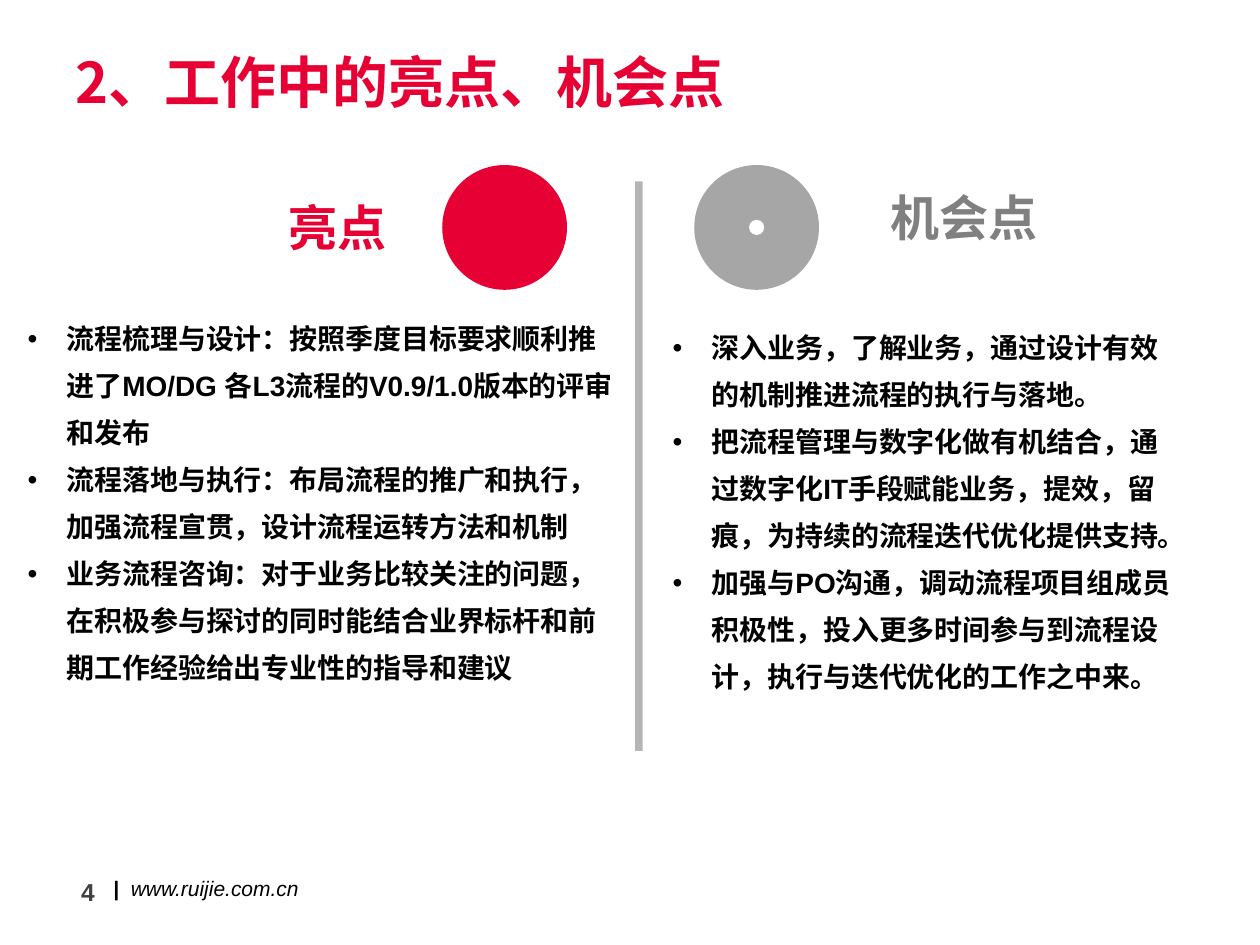
from dataclasses import dataclass
from math import cos, radians, sin

from lxml import etree
from pptx import Presentation
from pptx.dml.color import RGBColor
from pptx.enum.shapes import MSO_SHAPE
from pptx.enum.text import MSO_ANCHOR, MSO_AUTO_SIZE, PP_ALIGN
from pptx.oxml.ns import qn
from pptx.util import Inches, Pt

OVAL, RECTANGLE = MSO_SHAPE.OVAL, MSO_SHAPE.RECTANGLE
MIDDLE, TOP = MSO_ANCHOR.MIDDLE, MSO_ANCHOR.TOP
LEFT, RIGHT = PP_ALIGN.LEFT, PP_ALIGN.RIGHT
FIT_SHAPE, NO_FIT = MSO_AUTO_SIZE.SHAPE_TO_FIT_TEXT, MSO_AUTO_SIZE.NONE

Box = tuple[float, float, float, float]
Point = tuple[float, float]


@dataclass(frozen=True)
class Theme:
    red: str = "E60033"
    badge_grey: str = "A6A6A6"
    heading_grey: str = "808080"
    divider_grey: str = "B5B5B5"
    number_grey: str = "404040"
    black: str = "000000"
    white: str = "FFFFFF"
    latin: str = "Arial"
    chinese: str = "Noto Sans CJK SC"
    title_size: int = 32
    heading_size: int = 28
    body_size: int = 16
    number_size: int = 14
    footer_size: int = 12
    line_spacing: float = 1.4
    indent: float = 0.31


@dataclass(frozen=True)
class Panel:
    heading: str
    heading_box: Box
    heading_color: str
    badge_left: float
    badge_color: str
    body_box: Box
    points: tuple[str, ...]


THEME = Theme()
BADGE_TOP, BADGE_SIZE = 1.31, 0.99
PANELS = (
    Panel("亮点", (2.19, 1.52, 1.18, 0.57), THEME.red, 3.51, THEME.red,
          (0.12, 2.4, 4.85, 3.12), (
              "流程梳理与设计：按照季度目标要求顺利推进了MO/DG 各L3流程的V0.9/1.0版本的评审和发布",
              "流程落地与执行：布局流程的推广和执行，加强流程宣贯，设计流程运转方法和机制",
              "业务流程咨询：对于业务比较关注的问题，在积极参与探讨的同时能结合业界标杆和前期工作经验给出专业性的指导和建议")),
    Panel("机会点", (6.97, 1.44, 1.73, 0.57), THEME.heading_grey, 5.51, THEME.badge_grey,
          (5.24, 2.47, 4.2, 3.1), (
              "深入业务，了解业务，通过设计有效的机制推进流程的执行与落地。",
              "把流程管理与数字化做有机结合，通过数字化IT手段赋能业务，提效，留痕，为持续的流程迭代优化提供支持。",
              "加强与PO沟通，调动流程项目组成员积极性，投入更多时间参与到流程设计，执行与迭代优化的工作之中来。")),
)


def style_run(run, size: int, color: str, font: str, bold: bool = True, italic: bool = False) -> None:
    """Format one run, with the Chinese face for East Asian characters."""
    run.font.size, run.font.bold, run.font.italic = Pt(size), bold, italic
    run.font.name = font
    run.font.color.rgb = RGBColor.from_string(color)
    east_asian = etree.Element(qn("a:ea"), typeface=THEME.chinese)
    run.font._element.find(qn("a:latin")).addnext(east_asian)


def place(shape, box: Box) -> None:
    """Move and size a shape in inches."""
    shape.left, shape.top, shape.width, shape.height = map(Inches, box)


def add_text(slide, box: Box, text: str, size: int, color: str, font: str,
             align=LEFT, anchor=TOP, fit=FIT_SHAPE):
    """Add a wrapped bold text box and return its frame."""
    frame = slide.shapes.add_textbox(*map(Inches, box)).text_frame
    frame.text = text
    frame.word_wrap, frame.auto_size, frame.vertical_anchor = True, fit, anchor
    for paragraph in frame.paragraphs:
        paragraph.alignment = align
        for run in paragraph.runs:
            style_run(run, size, color, font)
    return frame


def add_bullets(frame) -> None:
    """Give every paragraph a hanging bullet and open line spacing."""
    for paragraph in frame.paragraphs:
        properties = paragraph._p.get_or_add_pPr()
        properties.set("marL", str(Inches(THEME.indent)))
        properties.set("indent", str(-Inches(THEME.indent)))
        etree.SubElement(properties, qn("a:buFont"), typeface=THEME.latin)
        etree.SubElement(properties, qn("a:buChar"), char="•")
        paragraph.line_spacing = THEME.line_spacing


def paint(shape, color: str) -> None:
    """Apply a flat fill without outline or shadow."""
    shape.shadow.inherit = False
    shape.fill.solid()
    shape.fill.fore_color.rgb = RGBColor.from_string(color)
    shape.line.fill.background()


def add_flat(slide, kind, box: Box, color: str) -> None:
    """Add a flat preset shape."""
    paint(slide.shapes.add_shape(kind, *map(Inches, box)), color)


def arc(x: float, y: float, radius: float, start: int, end: int) -> list[Point]:
    """Return points along an arc, with angles clockwise from the right."""
    steps = max(abs(end - start) // 10, 1)
    angles = [radians(start + (end - start) * i / steps) for i in range(steps + 1)]
    return [(x + radius * cos(a), y + radius * sin(a)) for a in angles]


def add_outline(slide, contours: list[list[Point]], color: str) -> None:
    """Add one freeform made of closed contours."""
    first, *holes = contours
    builder = slide.shapes.build_freeform(*first[0], scale=Inches(1))
    builder.add_line_segments(first[1:], close=True)
    for hole in holes:
        builder.move_to(*hole[0])
        builder.add_line_segments(hole[1:], close=True)
    paint(builder.convert_to_shape(), color)


def add_lock(slide, x: float) -> None:
    """Draw a padlock centred on x."""
    shackle_y, body_top, body_bottom, half, corner = 1.69, 1.79, 2.09, 0.22, 0.02
    right, left = x + half - corner, x - half + corner
    outline = (arc(x, shackle_y, 0.17, 180, 360) + [(x + 0.17, body_top)]
               + arc(right, body_top + corner, corner, -90, 0)
               + arc(right, body_bottom - corner, corner, 0, 90)
               + arc(left, body_bottom - corner, corner, 90, 180)
               + arc(left, body_top + corner, corner, 180, 270) + [(x - 0.17, body_top)])
    opening = arc(x, shackle_y, 0.09, 180, 360) + [(x + 0.09, body_top), (x - 0.09, body_top)]
    keyhole = arc(x, 1.93, 0.05, 180, 360) + arc(x, 2.02, 0.05, 0, 180)
    add_outline(slide, [outline, opening, keyhole], THEME.white)


def add_gear(slide, x: float, y: float) -> None:
    """Draw an eight-toothed gear with a hub."""
    tooth = ((-17, 0.22), (-6.5, 0.29), (6.5, 0.29), (17, 0.22))
    outline = [(x + radius * cos(radians(turn + offset)), y + radius * sin(radians(turn + offset)))
               for turn in range(0, 360, 45) for offset, radius in tooth]
    add_outline(slide, [outline, arc(x, y, 0.09, 0, 360)], THEME.white)
    add_flat(slide, OVAL, (x - 0.06, y - 0.06, 0.12, 0.12), THEME.white)


def add_panel(slide, panel: Panel) -> None:
    """Draw a badge, its heading and its bullet list."""
    add_flat(slide, OVAL, (panel.badge_left, BADGE_TOP, BADGE_SIZE, BADGE_SIZE), panel.badge_color)
    add_text(slide, panel.heading_box, panel.heading, THEME.heading_size,
             panel.heading_color, THEME.chinese)
    add_bullets(add_text(slide, panel.body_box, "\n".join(panel.points), THEME.body_size,
                         THEME.black, THEME.latin))


def add_title(slide) -> None:
    """Fill and format the title placeholder."""
    title = slide.shapes.title
    place(title, (0.5, 0.3, 9, 0.69))
    frame = title.text_frame
    frame.text = "2、工作中的亮点、机会点"
    frame.vertical_anchor, frame.auto_size = MIDDLE, NO_FIT
    frame.paragraphs[0].alignment = LEFT
    style_run(frame.paragraphs[0].runs[0], THEME.title_size, THEME.red, THEME.chinese)


def add_footer(slide) -> None:
    """Add the page number and the web address."""
    add_text(slide, (0.26, 6.95, 0.59, 0.26), "4", THEME.number_size, THEME.number_grey,
             THEME.latin, RIGHT, MIDDLE, NO_FIT)
    frame = add_text(slide, (0.8, 6.9, 1.81, 0.31), "", THEME.footer_size, THEME.black,
                     THEME.latin, fit=NO_FIT)
    paragraph = frame.paragraphs[0]
    tabs = etree.SubElement(paragraph._p.get_or_add_pPr(), qn("a:tabLst"))
    etree.SubElement(tabs, qn("a:tab"), pos=str(Inches(0.14)), algn="l")
    for text, bold in (("|\t", True), ("www.ruijie.com.cn", False)):
        run = paragraph.add_run()
        run.text = text
        style_run(run, THEME.footer_size, THEME.black, THEME.latin, bold, italic=True)


def main() -> None:
    """Build the highlights and opportunities slide."""
    deck = Presentation()
    deck.slide_width, deck.slide_height = Inches(10), Inches(7.5)
    slide = deck.slides.add_slide(deck.slide_layouts[5])
    add_title(slide)
    for panel in PANELS:
        add_panel(slide, panel)
    highlights, opportunities = PANELS
    radius = BADGE_SIZE / 2
    add_lock(slide, highlights.badge_left + radius)
    add_gear(slide, opportunities.badge_left + radius, BADGE_TOP + radius)
    add_flat(slide, RECTANGLE, (5.04, 1.44, 0.06, 4.52), THEME.divider_grey)
    add_footer(slide)
    deck.save("out.pptx")


if __name__ == "__main__":
    main()
